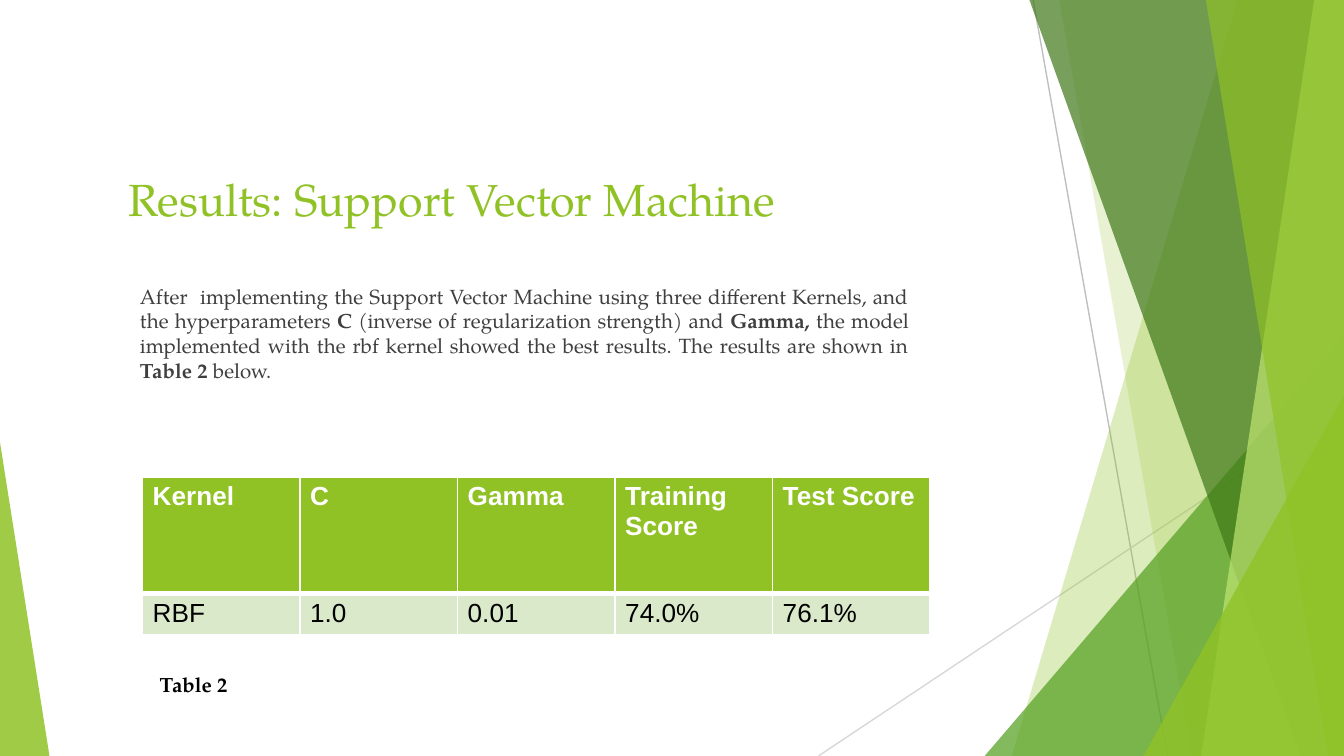
from lxml import etree
from pptx import Presentation
from pptx.dml.color import RGBColor
from pptx.enum.shapes import MSO_CONNECTOR, MSO_SHAPE
from pptx.enum.text import MSO_ANCHOR, PP_ALIGN
from pptx.oxml.ns import qn
from pptx.util import Pt

STRAIGHT = MSO_CONNECTOR.STRAIGHT
TRIANGLE = MSO_SHAPE.ISOSCELES_TRIANGLE
TOP = MSO_ANCHOR.TOP
LEFT, JUSTIFY = PP_ALIGN.LEFT, PP_ALIGN.JUSTIFY

WIDTH, HEIGHT = 720, 405
SERIF, SANS = "TeX Gyre Pagella", "Arial"
COLORS = {
    "lime": "90C226", "green": "54A021", "forest": "3F7818", "pale": "BFE471",
    "band": "DBE9CB", "white": "FFFFFF", "black": "000000", "body": "3F3F3F",
    "gray": "BFBFBF", "light_gray": "D8D8D8",
}

RAYS = [
    ((553.5, 0), (625.5, HEIGHT), "gray"),
    ((WIDTH, 217.5), (438.5, HEIGHT), "light_gray"),
]
PANELS = [
    ("panel", 663, 542, "lime", 30),
    ("panel", 567.5, 638.5, "lime", 20),
    ("triangle", (527.5, 180, 192.5), 1, "green", 72),
    ("panel", 551.5, 697, "forest", 70),
    ("panel", 704, 643.5, "pale", 70),
    ("panel", 646, 711.5, "lime", 65),
    ("triangle", (612.5, 212, 107.5), 1, "lime", 80),
    ("triangle", (0, 237, 26.5), 0, "lime", 85),
]
TEXTS = [
    ((64, 89.3, 443.5, 46), (5, 2.9), LEFT, 24, "lime",
     [("Results: Support Vector Machine", False)]),
    ((70, 149, 422, 73.5), (5, 2.9), JUSTIFY, 11, "body", [
        ("After  implementing the Support Vector Machine using three different "
         "Kernels, and the hyperparameters ", False),
        ("C ", True),
        ("(inverse of regularization strength) and ", False),
        ("Gamma, ", True),
        ("the model implemented with the rbf kernel showed the best results. "
         "The results are shown in ", False),
        ("Table 2", True),
        (" below.", False),
    ]),
    ((78.5, 353.5, 65, 24.5), (7.2, 7.2), LEFT, 11, "black", [("Table 2", True)]),
]
SCORES = [
    ["Kernel", "C", "Gamma", "Training Score", "Test Score"],
    ["RBF", "1.0", "0.01", "74.0%", "76.1%"],
]
TABLE_LEFT, TABLE_TOP, COLUMN_WIDTH = 76.4, 255.5, 84.4
ROW_STYLES = [
    {"height": 62.5, "fill": "lime", "text": "white", "bold": True,
     "borders": {"lnL": 1, "lnR": 1, "lnT": 1, "lnB": 3}},
    {"height": 20.4, "fill": "band", "text": "black", "bold": False,
     "borders": {"lnL": 1, "lnR": 1, "lnT": 3, "lnB": 1}},
]


def rgb(name):
    return RGBColor.from_string(COLORS[name])


def add_run(p, text, size, font, color, bold):
    r = p.add_run()
    r.text = text
    for name, value in {"size": Pt(size), "name": font, "bold": bold}.items():
        setattr(r.font, name, value)
    r.font.color.rgb = rgb(color)


def set_margins(target, side, edge):
    for name, value in {"left": side, "right": side, "top": edge, "bottom": edge}.items():
        setattr(target, "margin_" + name, Pt(value))


def add_ray(shapes, start, end, color):
    line = shapes.add_connector(STRAIGHT, *(Pt(v) for v in start + end))
    line.line.color.rgb = rgb(color)
    line.line.width = Pt(0.75)
    etree.SubElement(line._element.spPr, qn("a:effectLst"))


def add_panel(shapes, kind, place, foot, color, opacity):
    if kind == "triangle":
        left, top, width = place
        s = shapes.add_shape(TRIANGLE, Pt(left), Pt(top), Pt(width), Pt(HEIGHT - top))
        s.adjustments[0] = foot
    else:
        corners = [(WIDTH, 0), (WIDTH, HEIGHT), (foot, HEIGHT)]
        builder = shapes.build_freeform(Pt(place), 0)
        builder.add_line_segments([(Pt(x), Pt(y)) for x, y in corners], close=True)
        s = builder.convert_to_shape()
    s.shadow.inherit = False
    s.fill.solid()
    s.fill.fore_color.rgb = rgb(color)
    s.line.fill.background()
    swatch = s._element.spPr.find(qn("a:solidFill"))[0]
    etree.SubElement(swatch, qn("a:alpha"), val=str(opacity * 1000))


def add_text(shapes, box, margins, align, size, color, runs):
    tf = shapes.add_textbox(*(Pt(v) for v in box)).text_frame
    tf.word_wrap = True
    tf.vertical_anchor = TOP
    set_margins(tf, *margins)
    p = tf.paragraphs[0]
    p.alignment = align
    for text, bold in runs:
        add_run(p, text, size, SERIF, color, bold)


def set_borders(cell, borders):
    tcPr = cell._tc.get_or_add_tcPr()
    for i, (tag, width) in enumerate(borders.items()):
        ln = etree.Element(qn("a:" + tag), w=str(Pt(width)))
        fill = etree.SubElement(ln, qn("a:solidFill"))
        etree.SubElement(fill, qn("a:srgbClr"), val=COLORS["white"])
        tcPr.insert(i, ln)


def add_scores(shapes):
    columns = len(SCORES[0])
    height = sum(style["height"] for style in ROW_STYLES)
    table = shapes.add_table(len(SCORES), columns, Pt(TABLE_LEFT), Pt(TABLE_TOP),
                             Pt(COLUMN_WIDTH * columns), Pt(height)).table
    for column in table.columns:
        column.width = Pt(COLUMN_WIDTH)
    for row, values, style in zip(table.rows, SCORES, ROW_STYLES):
        row.height = Pt(style["height"])
        for cell, value in zip(row.cells, values):
            set_margins(cell, 5.4, 2.7)
            cell.fill.solid()
            cell.fill.fore_color.rgb = rgb(style["fill"])
            set_borders(cell, style["borders"])
            add_run(cell.text_frame.paragraphs[0], value, 14, SANS,
                    style["text"], style["bold"])


def main():
    prs = Presentation()
    prs.slide_width, prs.slide_height = Pt(WIDTH), Pt(HEIGHT)
    shapes = prs.slides.add_slide(prs.slide_layouts[6]).shapes
    for ray in RAYS:
        add_ray(shapes, *ray)
    for panel in PANELS:
        add_panel(shapes, *panel)
    for text in TEXTS[:2]:
        add_text(shapes, *text)
    add_scores(shapes)
    add_text(shapes, *TEXTS[2])
    prs.save("out.pptx")


if __name__ == "__main__":
    main()
